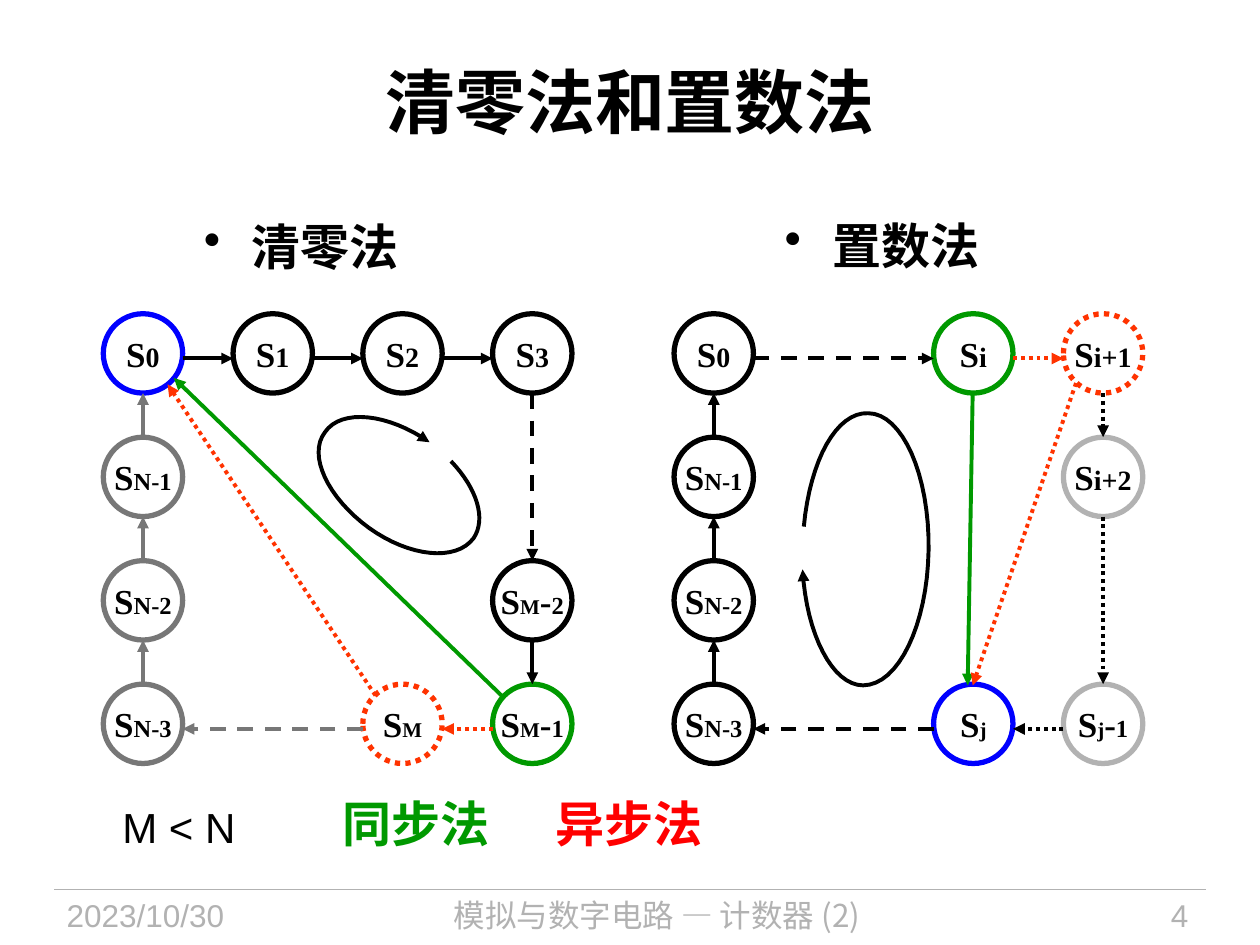
from lxml import etree
from pptx import Presentation
from pptx.dml.color import RGBColor
from pptx.enum.dml import MSO_LINE
from pptx.enum.shapes import MSO_CONNECTOR, MSO_SHAPE
from pptx.enum.text import MSO_ANCHOR, PP_ALIGN
from pptx.oxml.ns import qn
from pptx.util import Inches, Pt

LEFT, CENTER, RIGHT = PP_ALIGN.LEFT, PP_ALIGN.CENTER, PP_ALIGN.RIGHT
DASH, DOT = MSO_LINE.DASH, MSO_LINE.ROUND_DOT
MIDDLE = MSO_ANCHOR.MIDDLE
OVAL, STRAIGHT = MSO_SHAPE.OVAL, MSO_CONNECTOR.STRAIGHT

THEME = {
    "black": "000000", "white": "FFFFFF", "blue": "0000FF", "green": "009900",
    "orange": "FF3300", "red": "FF0000", "grey": "777777", "pale": "B2B2B2",
    "serif": "Times New Roman", "sans": "Arial", "cjk": "Noto Sans CJK SC",
    "title": 40, "heading": 28, "condition": 24, "state": 20, "footer": 18,
    "ring": 3, "arrow": 2.25, "rule": 0.75,
}

TITLE = "清零法和置数法"
HEADINGS = [("清零法", (1.52, 1.67, 2.1, 0.68)), ("置数法", (6.13, 1.66, 2.14, 0.71))]
# text, box, alignment, font, size, colour, bold, wrap
LABELS = [
    ("同步法", (2.62, 6.25, 1.37, 0.57), LEFT, "sans", "heading", "green", True, False),
    ("异步法", (4.31, 6.25, 1.37, 0.57), LEFT, "sans", "heading", "red", True, False),
    ("M < N", (0.87, 6.31, 1.1, 0.5), CENTER, "sans", "condition", "black", False, False),
    ("2023/10/30", (0.43, 7.06, 1.88, 0.44), LEFT, "sans", "footer", "pale", False, True),
    ("模拟与数字电路 — 计数器 (2)", (2.4, 7.06, 5.63, 0.44), CENTER, "cjk", "footer",
     "pale", False, True),
    ("4", (8.2, 7.06, 1.33, 0.44), RIGHT, "sans", "footer", "pale", False, True),
]

# Each panel is a grid of states: name -> (column, row, ring colour, dash, subscript runs)
CLEAR_STATES = {
    "S0": (0, 0, "blue", None, [("0", 16)]),
    "S1": (1, 0, "black", None, [("1", 16)]),
    "S2": (2, 0, "black", None, [("2", 16)]),
    "S3": (3, 0, "black", None, [("3", 16)]),
    "SM-2": (3, 2, "black", None, [("M", 12), ("-", 20), ("2", 14)]),
    "SM-1": (3, 3, "green", None, [("M", 12), ("-", 20), ("1", 14)]),
    "SM": (2, 3, "orange", DOT, [("M", 12)]),
    "SN-3": (0, 3, "grey", None, [("N-3", 14)]),
    "SN-2": (0, 2, "grey", None, [("N-2", 14)]),
    "SN-1": (0, 1, "grey", None, [("N-1", 14)]),
}
CLEAR_STEPS = [
    ("S0", "S1", "black", None), ("S1", "S2", "black", None), ("S2", "S3", "black", None),
    ("S3", "SM-2", "black", DASH), ("SM-2", "SM-1", "black", None),
    ("SM-1", "SM", "orange", DOT), ("SM", "SN-3", "grey", DASH),
    ("SN-3", "SN-2", "grey", None), ("SN-2", "SN-1", "grey", None),
    ("SN-1", "S0", "grey", None),
]
PRESET_STATES = {
    "S0": (0, 0, "black", None, [("0", 16)]),
    "Si": (2, 0, "green", None, [("i", 16)]),
    "Si+1": (3, 0, "orange", DOT, [("i+1", 16)]),
    "Si+2": (3, 1, "pale", None, [("i+2", 16)]),
    "Sj-1": (3, 3, "pale", None, [("j", 12), ("-", 20), ("1", 14)]),
    "Sj": (2, 3, "blue", None, [("j", 12)]),
    "SN-3": (0, 3, "black", None, [("N-3", 14)]),
    "SN-2": (0, 2, "black", None, [("N-2", 14)]),
    "SN-1": (0, 1, "black", None, [("N-1", 14)]),
}
PRESET_STEPS = [
    ("S0", "Si", "black", DASH), ("Si", "Si+1", "orange", DOT),
    ("Si+1", "Si+2", "black", DOT), ("Si+2", "Sj-1", "black", DOT),
    ("Sj-1", "Sj", "black", DOT), ("Sj", "SN-3", "black", DASH),
    ("SN-3", "SN-2", "black", None), ("SN-2", "SN-1", "black", None),
    ("SN-1", "S0", "black", None),
]
PANELS = [(0.82, CLEAR_STATES, CLEAR_STEPS), (5.35, PRESET_STATES, PRESET_STEPS)]
JUMPS = [
    ((3.98, 5.52), (1.38, 3.0), "green", None),
    ((2.98, 5.52), (1.33, 3.05), "orange", DOT),
    ((7.72, 3.12), (7.68, 5.44), "green", None),
    ((8.54, 3.04), (7.72, 5.44), "orange", DOT),
]
# Cubic Bézier chains: start point, then two controls and an end per segment
LOOPS = [
    [(3.41, 3.51), (3.08, 3.28), (2.71, 3.24), (2.58, 3.43), (2.44, 3.61), (2.6, 3.95),
     (2.93, 4.19), (3.25, 4.42), (3.62, 4.46), (3.76, 4.27), (3.86, 4.12), (3.79, 3.88),
     (3.58, 3.66)],
    [(6.37, 4.52), (6.4, 5.04), (6.61, 5.44), (6.85, 5.44), (7.13, 5.44), (7.36, 4.96),
     (7.37, 4.37), (7.38, 3.77), (7.16, 3.28), (6.89, 3.28), (6.64, 3.27), (6.43, 3.65),
     (6.38, 4.18)],
]
TOP, COLUMN, ROW, DIAMETER = 2.49, 1.03, 0.98, 0.63
SIDE_DROP = 0.04  # horizontal arrows run slightly below the circle centres
CURVE_STEPS = 16


def color(name):
    return RGBColor.from_string(THEME[name])


def add_run(paragraph, text, font, size, ink="black", bold=True):
    run = paragraph.add_run()
    run.text = text
    for key, value in {"name": THEME[font], "size": Pt(size), "bold": bold}.items():
        setattr(run.font, key, value)
    run.font.color.rgb = color(ink)
    east_asian = etree.SubElement(run.font._element, qn("a:ea"))
    east_asian.set("typeface", THEME["cjk"])


def add_label(slide, text, box, align, font, size, ink, bold, wrap):
    frame = slide.shapes.add_textbox(*map(Inches, box)).text_frame
    frame.word_wrap = wrap
    paragraph = frame.paragraphs[0]
    paragraph.alignment = align
    add_run(paragraph, text, font, THEME[size], ink, bold)
    return paragraph


def add_bullet(paragraph):
    properties = paragraph._p.get_or_add_pPr()
    properties.set("marL", str(Inches(0.38)))
    properties.set("indent", str(Inches(-0.38)))
    etree.SubElement(properties, qn("a:buChar")).set("char", "•")


def style_line(line, ink, width, dash=None, arrow_end=None):
    """arrow_end is 'headEnd' for the start point or 'tailEnd' for the end point."""
    line.color.rgb = color(ink)
    line.width = Pt(THEME[width])
    if dash:
        line.dash_style = dash
    if arrow_end:
        etree.SubElement(line._get_or_add_ln(), qn(f"a:{arrow_end}")).set("type", "triangle")


def add_line(slide, start, end, ink, width="arrow", dash=None, arrow_end="tailEnd"):
    line = slide.shapes.add_connector(STRAIGHT, *map(Inches, (*start, *end)))
    style_line(line.line, ink, width, dash, arrow_end)
    etree.SubElement(line._element.spPr, qn("a:effectLst"))


def add_state(slide, left, top, ink, dash, subscript):
    state = slide.shapes.add_shape(OVAL, *map(Inches, (left, top, DIAMETER, DIAMETER)))
    state.shadow.inherit = False
    state.fill.solid()
    state.fill.fore_color.rgb = color("white")
    style_line(state.line, ink, "ring", dash)
    frame = state.text_frame
    frame.word_wrap = False
    frame.vertical_anchor = MIDDLE
    paragraph = frame.paragraphs[0]
    paragraph.alignment = CENTER
    for text, size in [("S", THEME["state"]), *subscript]:
        add_run(paragraph, text, "serif", size)


def step_ends(start, end):
    """Edge points of two circles, given by centre, that share a row or a column."""
    (x1, y1), (x2, y2) = start, end
    radius = DIAMETER / 2
    if abs(y1 - y2) < 0.01:
        reach = radius if x2 > x1 else -radius
        return (x1 + reach, y1 + SIDE_DROP), (x2 - reach, y2 + SIDE_DROP)
    reach = radius if y2 > y1 else -radius
    return (x1, y1 + reach), (x2, y2 - reach)


def add_panel(slide, left, states, steps):
    centers = {}
    for name, (column, row, ink, dash, subscript) in states.items():
        x, y = left + column * COLUMN, TOP + row * ROW
        add_state(slide, x, y, ink, dash, subscript)
        centers[name] = (x + DIAMETER / 2, y + DIAMETER / 2)
    for source, target, ink, dash in steps:
        add_line(slide, *step_ends(centers[source], centers[target]), ink, dash=dash)


def bezier_points(chain):
    for first in range(0, len(chain) - 1, 3):
        a, b, c, d = chain[first:first + 4]
        for step in range(1, CURVE_STEPS + 1):
            t = step / CURVE_STEPS
            u = 1 - t
            yield tuple(Inches(u**3 * p + 3 * u * u * t * q + 3 * u * t * t * r + t**3 * s)
                        for p, q, r, s in zip(a, b, c, d))


def add_loop(slide, chain):
    builder = slide.shapes.build_freeform(*map(Inches, chain[0]))
    builder.add_line_segments(list(bezier_points(chain)), close=False)
    loop = builder.convert_to_shape()
    loop.shadow.inherit = False
    loop.fill.background()
    style_line(loop.line, "black", "arrow", arrow_end="headEnd")


def main():
    deck = Presentation()
    deck.slide_width, deck.slide_height = Inches(10), Inches(7.5)
    slide = deck.slides.add_slide(deck.slide_layouts[5])

    title = slide.shapes.title
    for side, value in zip(("left", "top", "width", "height"), (0.5, 0.17, 9, 1.25)):
        setattr(title, side, Inches(value))
    title.text_frame.vertical_anchor = MIDDLE
    heading = title.text_frame.paragraphs[0]
    heading.alignment = CENTER
    add_run(heading, TITLE, "serif", THEME["title"])

    add_line(slide, (0.43, 7.06), (9.57, 7.06), "pale", "rule", arrow_end=None)
    for text, box in HEADINGS:
        add_bullet(add_label(slide, text, box, LEFT, "serif", "heading", "black", True, True))
    for label in LABELS:
        add_label(slide, *label)
    for panel in PANELS:
        add_panel(slide, *panel)
    for start, end, ink, dash in JUMPS:
        add_line(slide, start, end, ink, dash=dash)
    for chain in LOOPS:
        add_loop(slide, chain)
    deck.save("out.pptx")


if __name__ == "__main__":
    main()
